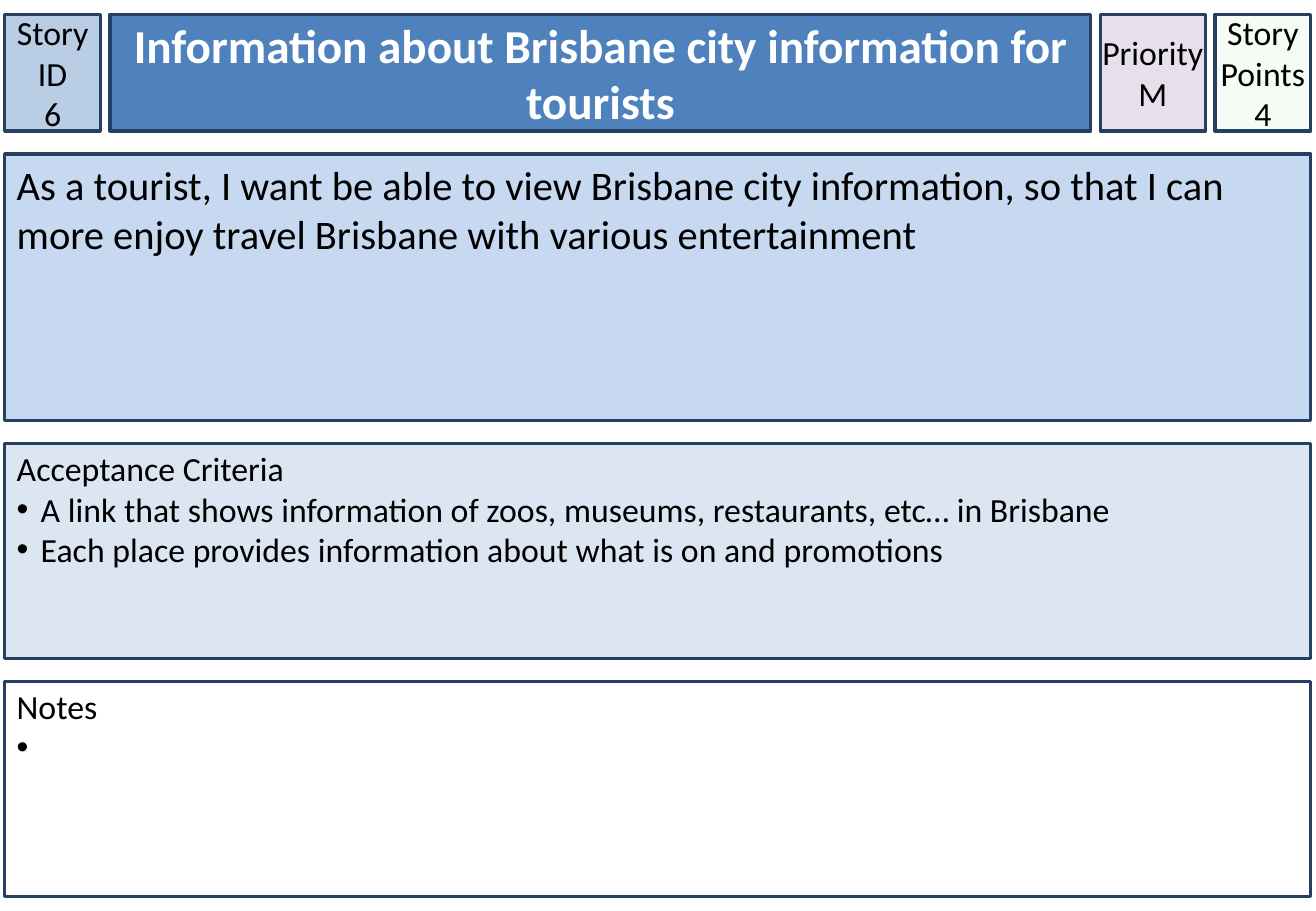
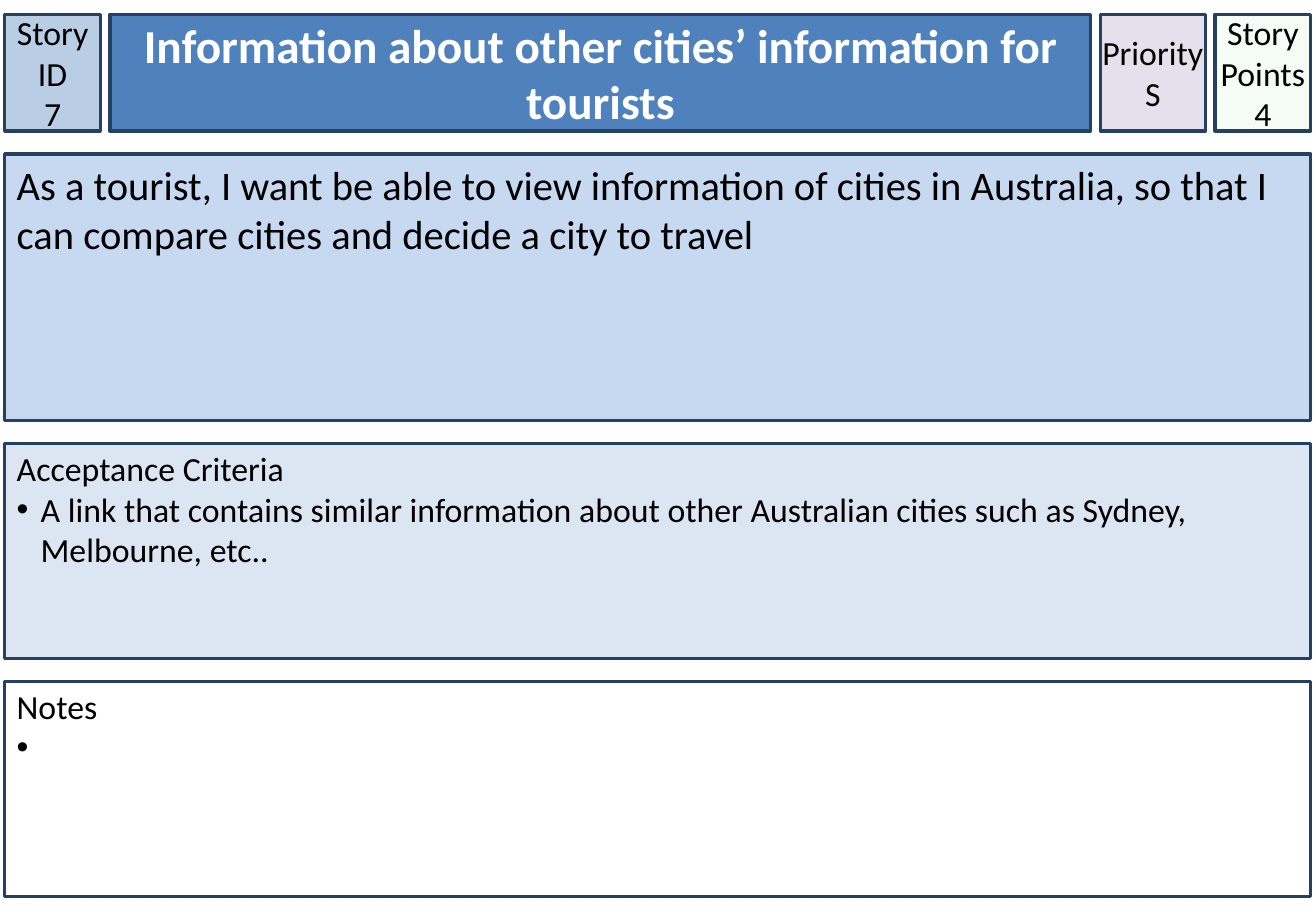
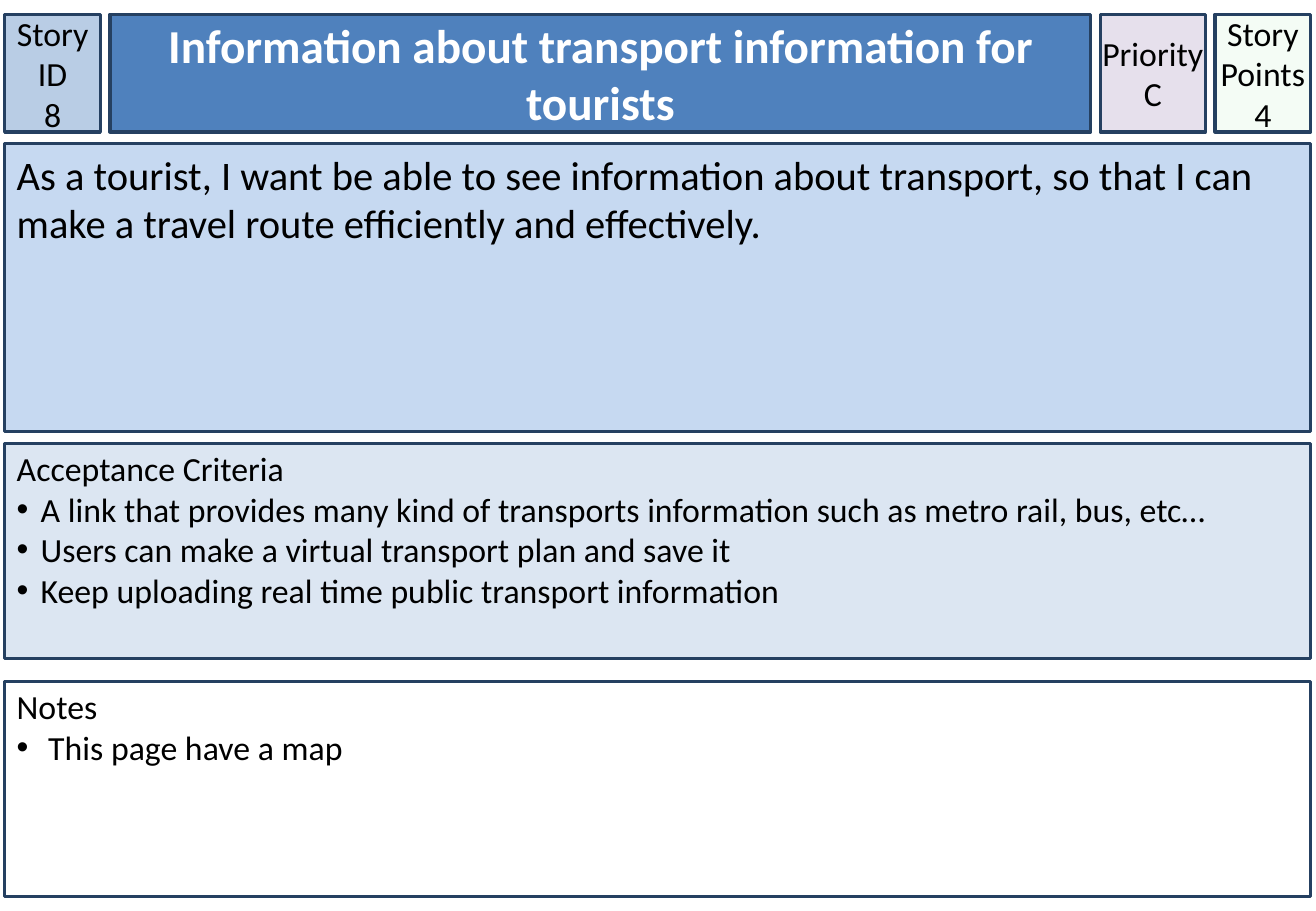
from dataclasses import dataclass

from lxml import etree
from pptx import Presentation
from pptx.dml.color import RGBColor
from pptx.enum.shapes import MSO_SHAPE
from pptx.enum.text import MSO_ANCHOR, PP_ALIGN
from pptx.oxml.ns import qn
from pptx.util import Cm, Pt

RECT = MSO_SHAPE.RECTANGLE
TOP, MIDDLE = MSO_ANCHOR.TOP, MSO_ANCHOR.MIDDLE
LEFT, CENTER = PP_ALIGN.LEFT, PP_ALIGN.CENTER


@dataclass(frozen=True)
class Theme:
    """Colours, type and line sizes of the story cards."""
    font: str = "Calibri"
    title_size: int = 28
    story_size: int = 24
    label_size: int = 20
    line_width: int = 2
    text: str = "000000"
    title_text: str = "FFFFFF"
    border: str = "254061"
    id_fill: str = "B9CDE5"
    title_fill: str = "4F81BD"
    priority_fill: str = "E6E0EC"
    points_fill: str = "CCF0CD"
    points_opacity: int = 20
    story_fill: str = "C6D9F1"
    criteria_fill: str = "DCE6F2"
    remarks_fill: str = "FFFFFF"


# Layout in centimetres
SLIDE_W, SLIDE_H = 27.51, 19.05
MARGIN = 0.1
FULL_W = 27.3
HEADER_TOP = 0.3
COLUMN_GAP = 0.2
ID_W, TITLE_W, PRIORITY_W, POINTS_W = 2, 20.5, 2.2, 2
CRITERIA_TOP, REMARKS_TOP, PANEL_H = 9.27, 14.25, 4.5
BULLET_INDENT = 0.5

# Text insets in centimetres: left, top, right, bottom
BOX_INSETS = (0.25, 0.13, 0.25, 0.13)
TAG_INSETS = (0, 0.13, 0, 0.13)
PANEL_INSETS = (0.25, 0.1, 0.25, 0.13)


class CardDeck:
    """Draws story cards, one on each slide."""

    def __init__(self, theme):
        """Start an empty deck in the given style."""
        self.theme = theme
        self.prs = Presentation()
        self.prs.slide_width = Cm(SLIDE_W)
        self.prs.slide_height = Cm(SLIDE_H)
        self.s = None

    def new_slide(self):
        """Add a blank slide and make it current."""
        self.s = self.prs.slides.add_slide(self.prs.slide_layouts[6])

    def box(self, at, fill, text, size, color=None, bold=False,
            align=LEFT, anchor=TOP, insets=BOX_INSETS):
        """Add a bordered rectangle with uniformly formatted text."""
        sp = self.s.shapes.add_shape(RECT, *(Cm(v) for v in at))
        sp.shadow.inherit = False
        sp.fill.solid()
        sp.fill.fore_color.rgb = RGBColor.from_string(fill)
        sp.line.color.rgb = RGBColor.from_string(self.theme.border)
        sp.line.width = Pt(self.theme.line_width)
        tf = sp.text_frame
        tf.text = text
        tf.word_wrap = True
        tf.vertical_anchor = anchor
        (tf.margin_left, tf.margin_top,
         tf.margin_right, tf.margin_bottom) = (Cm(v) for v in insets)
        for p in tf.paragraphs:
            p.alignment = align
            for r in p.runs:
                r.font.name = self.theme.font
                r.font.size = Pt(size)
                r.font.bold = bold
                r.font.color.rgb = RGBColor.from_string(color or self.theme.text)
        return sp

    def tag(self, at, fill, label, value):
        """Add a small header box with a label above its value."""
        return self.box(at, fill, f"{label}\n{value}", self.theme.label_size,
                        align=CENTER, anchor=MIDDLE, insets=TAG_INSETS)

    def title(self, at, text):
        """Add the card title."""
        self.box(at, self.theme.title_fill, text, self.theme.title_size,
                 color=self.theme.title_text, bold=True,
                 align=CENTER, anchor=MIDDLE)

    def panel(self, top, fill, heading, items):
        """Add a full-width box with a heading and a bulleted list."""
        sp = self.box((MARGIN, top, FULL_W, PANEL_H), fill,
                      "\n".join([heading, *items]), self.theme.label_size,
                      insets=PANEL_INSETS)
        for p in sp.text_frame.paragraphs[1:]:
            add_bullet(p)

    def header(self, height, story_id, title, priority, points):
        """Add the row of ID, title, priority and points."""
        t = self.theme
        cells, left = [], MARGIN
        for width in (ID_W, TITLE_W, PRIORITY_W, POINTS_W):
            cells.append((left, HEADER_TOP, width, height))
            left += width + COLUMN_GAP
        id_at, title_at, priority_at, points_at = cells
        self.tag(id_at, t.id_fill, "Story ID", story_id)
        self.title(title_at, title)
        sp = self.tag(priority_at, t.priority_fill, "Priority", priority)
        sp.text_frame.word_wrap = False
        sp = self.tag(points_at, t.points_fill, "Story Points", points)
        set_opacity(sp, t.points_opacity)

    def card(self, story_id, title, priority, points, story, criteria, remarks,
             header_h=2.44, gap=0.48):
        """Add a slide with one complete story card."""
        t = self.theme
        self.new_slide()
        self.header(header_h, story_id, title, priority, points)
        story_top = HEADER_TOP + header_h + gap
        story_h = CRITERIA_TOP - gap - story_top
        self.box((MARGIN, story_top, FULL_W, story_h), t.story_fill,
                 story, t.story_size)
        self.panel(CRITERIA_TOP, t.criteria_fill, "Acceptance Criteria", criteria)
        self.panel(REMARKS_TOP, t.remarks_fill, "Notes", remarks)


def add_bullet(p):
    """Give a paragraph a round bullet and a hanging indent."""
    pPr = p._p.get_or_add_pPr()
    pPr.set("marL", str(Cm(BULLET_INDENT)))
    pPr.set("indent", str(-Cm(BULLET_INDENT)))
    etree.SubElement(pPr, qn("a:buFont")).set("typeface", "Arial")
    etree.SubElement(pPr, qn("a:buChar")).set("char", "•")


def set_opacity(sp, percent):
    """Make the solid fill of a shape partly transparent."""
    color = sp._element.spPr.find(qn("a:solidFill"))[0]
    etree.SubElement(color, qn("a:alpha")).set("val", str(percent * 1000))


def main():
    """Build and save the story cards."""
    deck = CardDeck(Theme())
    deck.card(
        6, "Information about Brisbane city information for tourists", "M", 4,
        "As a tourist, I want be able to view Brisbane city information, "
        "so that I can more enjoy travel Brisbane with various entertainment",
        ["A link that shows information of zoos, museums, restaurants, "
         "etc… in Brisbane",
         "Each place provides information about what is on and promotions"],
        [" "])
    deck.card(
        7, "Information about other cities’ information for tourists", "S", 4,
        "As a tourist, I want be able to view information of cities in "
        "Australia, so that I can compare cities and decide a city to travel",
        ["A link that contains similar information about other Australian "
         "cities such as Sydney, Melbourne, etc.."],
        [" "])
    deck.card(
        8, "Information about transport information for tourists", "C", 4,
        "As a tourist, I want be able to see information about transport, "
        "so that I can make a travel route efficiently and effectively.",
        ["A link that provides many kind of transports information such as "
         "metro rail, bus, etc…",
         "Users can make a virtual transport plan and save it",
         "Keep uploading real time public transport information"],
        [" This page have a map"],
        header_h=2.46, gap=0.24)
    deck.prs.save("out.pptx")


main()
